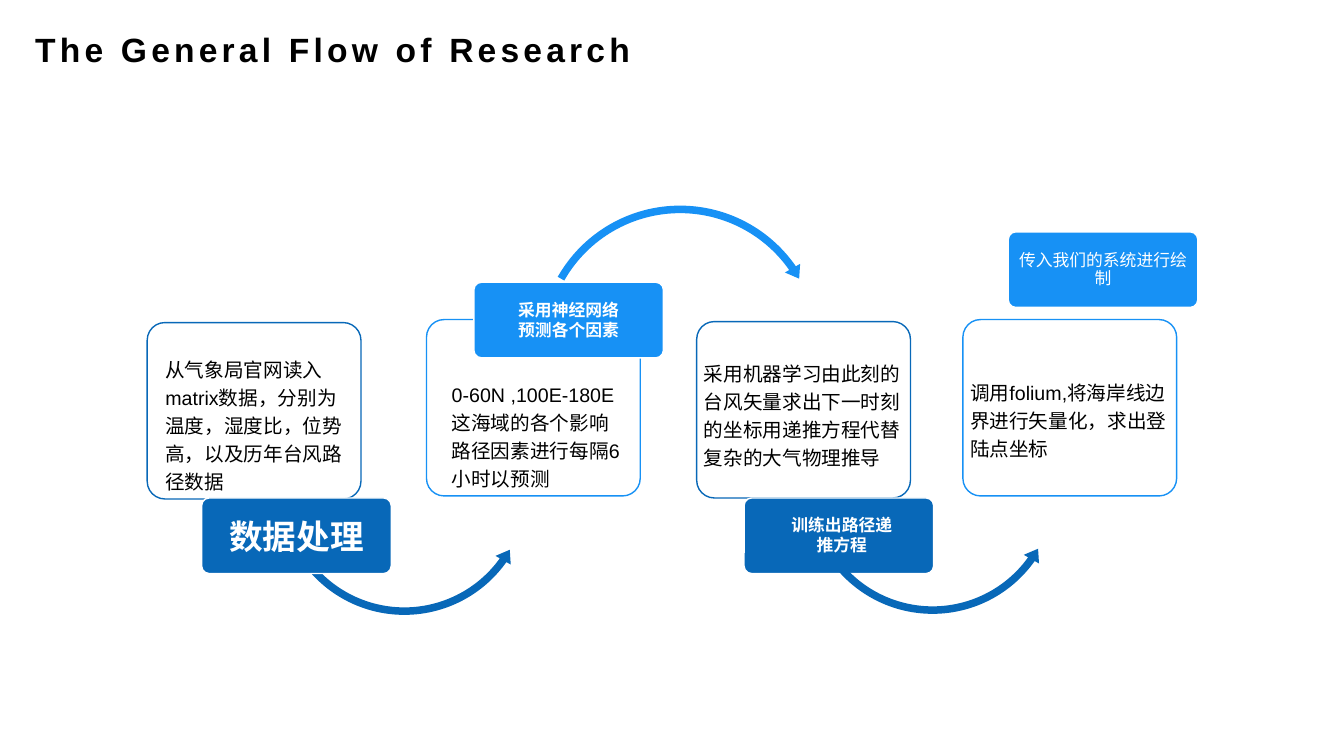
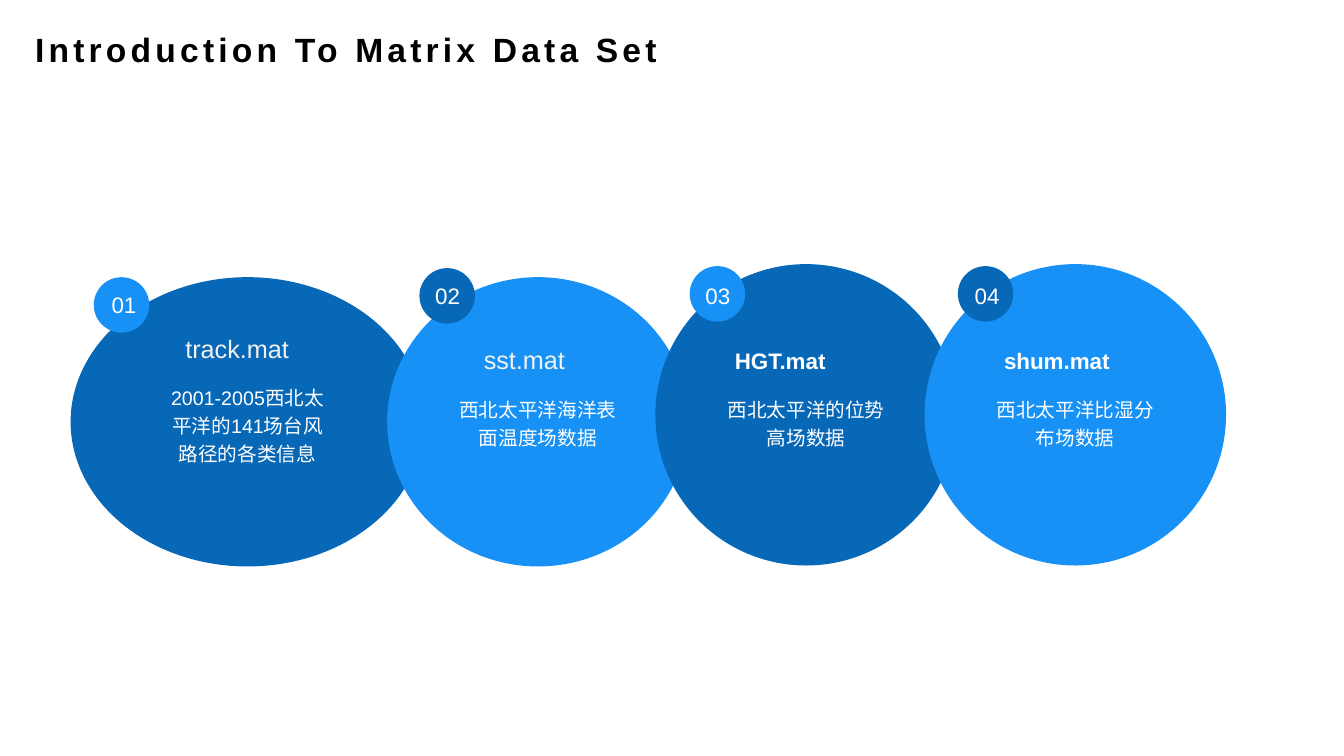
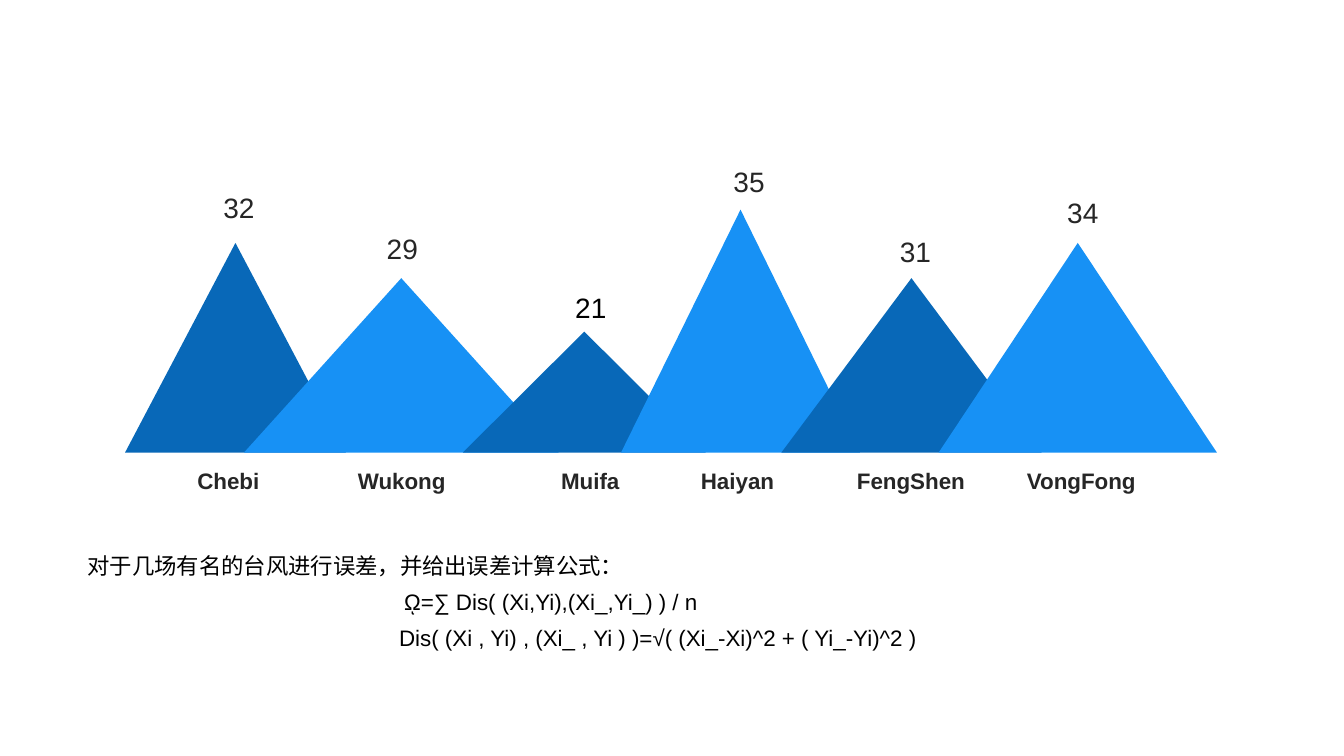
from dataclasses import dataclass

from lxml.etree import SubElement
from pptx import Presentation
from pptx.dml.color import RGBColor
from pptx.enum.shapes import MSO_SHAPE
from pptx.enum.text import MSO_ANCHOR, MSO_AUTO_SIZE, PP_ALIGN
from pptx.oxml.ns import qn
from pptx.util import Inches, Pt


@dataclass(frozen=True)
class Theme:
    font: str = "Arial"
    dark: str = "0868B8"
    light: str = "1791F5"
    white: str = "FFFFFF"
    pale: str = "F2F2F2"
    black: str = "000000"
    grey: str = "262626"
    title: int = 24
    value: int = 20
    heading: int = 18
    label: int = 16
    body: int = 14
    tag: int = 12


THEME = Theme()
CENTER, MIDDLE = PP_ALIGN.CENTER, MSO_ANCHOR.MIDDLE
NO_INSETS = (0, 0, 0, 0)
TEXT_INSETS = (0.1, 0.05, 0.1, 0.05)
LABEL_INSETS = (0.13, 0.07, 0.13, 0.07)

# Slide 1: flow of four steps
FLOW_TITLE = "The General Flow of Research"
CARD_SIZE, TAG_SIZE = (2.12, 1.75), (1.88, 0.75)
ARROW_STROKE, ARROW_HEAD = 0.075, 0.087
LEFT_TURN = (MSO_SHAPE.LEFT_CIRCULAR_ARROW, 5.85, 35.45, 150.41)
RIGHT_TURN = (MSO_SHAPE.CIRCULAR_ARROW, 5.19, 325.22, 209.59)
# Arrow: left, top, size, colour, turn (head angle, end, start)
STEPS = [
    {"colour": THEME.dark, "card": (1.46, 3.2), "tag": (2, 4.94),
     "arrow": (2.72, 3.57, 2.58, THEME.dark, LEFT_TURN)},
    {"colour": THEME.light, "card": (4.23, 3.17), "tag": (4.7, 2.8),
     "arrow": (5.3, 1.99, 2.89, THEME.light, RIGHT_TURN)},
    {"colour": THEME.dark, "card": (6.91, 3.19), "tag": (7.38, 4.94),
     "card_text": "采用机器学习由此刻的台风矢量求出下一时刻的坐标用递推方程代替复杂的大气物理推导",
     "card_format": {"insets": (0.02, 0.3, 0.02, 0.1)}},
    {"colour": THEME.light, "card": (9.55, 3.17), "tag": (10, 2.3),
     "arrow": (7.96, 3.56, 2.58, THEME.dark, LEFT_TURN),
     "card_text": "调用folium,将海岸线边界进行矢量化，求出登陆点坐标",
     "card_format": {"insets": (0.02, 0.1, 0.02, 0.3),
                     "anchor": MSO_ANCHOR.BOTTOM},
     "tag_text": "传入我们的系统进行绘制"},
]
TAG_CAPTIONS = [
    ("数据处理", (2, 5.07, 1.88, 0.5), THEME.title),
    ("采用神经网络预测各个因素", (4.99, 2.92, 1.3, 0.5), THEME.tag),
    ("训练出路径递推方程", (7.68, 5.06, 1.34, 0.5), THEME.tag),
]
CARD_NOTES = [
    ("从气象局官网读入matrix数据，分别为温度，湿度比，位势高，以及历年台风路径数据",
     (1.64, 3.5, 1.76, 1.41)),
    ("0-60N ,100E-180E这海域的各个影响路径因素进行每隔6小时以预测",
     (4.48, 3.75, 1.72, 1.13)),
]

# Slide 2: four data files
DATA_TITLE = "Introduction To Matrix Data Set"
BADGE_SIZE = (0.55, 0.55)
PLAIN_NAME = {"size": THEME.heading, "colour": THEME.pale}
BOLD_NAME = {"size": THEME.label, "colour": THEME.white, "bold": True}
# Disc, badge corner, number corner, name, name box, name format, note, note box
DATA_FILES = [
    ((0.7, 2.75, 3.51, 2.87), (0.93, 2.75), (0.95, 2.84),
     "track.mat", (1.74, 3.26, 1.36, 0.4), PLAIN_NAME,
     "2001-2005西北太平洋的141场台风路径的各类信息", (1.65, 3.78, 1.61, 1.18)),
    ((3.84, 2.75, 2.99, 2.87), (4.16, 2.66), (4.16, 2.75),
     "sst.mat", (4.7, 3.37, 1.21, 0.4), PLAIN_NAME,
     "西北太平洋海洋表面温度场数据", (4.53, 3.9, 1.61, 0.56)),
    ((6.5, 2.62, 2.99, 2.99), (6.84, 2.64), (6.84, 2.75),
     "HGT.mat", (7.19, 3.39, 1.55, 0.37), BOLD_NAME,
     "西北太平洋的位势高场数据", (7.19, 3.9, 1.61, 0.56)),
    ((9.17, 2.62, 2.99, 2.99), (9.5, 2.64), (9.51, 2.75),
     "shum.mat", (9.86, 3.39, 1.55, 0.37), BOLD_NAME,
     "西北太平洋比湿分布场数据", (9.86, 3.9, 1.61, 0.56)),
]

# Slide 3: typhoon errors as peaks
BASELINE = 4.49
VALUE_SIZE, NAME_SIZE = (0.84, 0.66), (1.63, 0.49)
# Name, name left, value, value corner, value colour, peak left, width, height
TYPHOONS = [
    ("Chebi", 1.45, "32", (1.95, 1.68), THEME.grey, 1.24, 2.19, 2.08),
    ("Wukong", 3.17, "29", (3.57, 2.08), THEME.grey, 2.42, 3.12, 1.73),
    ("Muifa", 5.04, "21", (5.44, 2.67), THEME.black, 4.59, 2.41, 1.2),
    ("Haiyan", 6.5, "35", (7.01, 1.42), THEME.grey, 6.16, 2.37, 2.41),
    ("FengShen", 8.22, "31", (8.66, 2.11), THEME.grey, 7.75, 2.58, 1.73),
    ("VongFong", 9.91, "34", (10.32, 1.73), THEME.grey, 9.31, 2.76, 2.08),
]
FORMULA_BOX = (0.77, 5.37, 11.76, 1.55)
FORMULA_LINES = [
    "对于几场有名的台风进行误差，并给出误差计算公式：",
    "ῼ=∑ Dis( (Xi,Yi),(Xi_,Yi_) ) / n",
    "Dis( (Xi , Yi) , (Xi_ , Yi ) )=√( (Xi_-Xi)^2 + ( Yi_-Yi)^2 )",
]
FORMULA_INDENTS = [0, 3.14, 3.09]


def write(box, text, size=THEME.body, colour=THEME.black, bold=False,
          align=PP_ALIGN.LEFT, anchor=MSO_ANCHOR.TOP, insets=TEXT_INSETS,
          spacing=None, before=0, tracking=0, indents=()):
    """Put one string, or a list of paragraphs, into a shape."""
    frame = box.text_frame
    frame.word_wrap = True
    frame.vertical_anchor = anchor
    (frame.margin_left, frame.margin_top,
     frame.margin_right, frame.margin_bottom) = map(Inches, insets)
    lines = [text] if isinstance(text, str) else text
    for index, line in enumerate(lines):
        para = frame.paragraphs[0] if index == 0 else frame.add_paragraph()
        para.alignment = align
        if spacing:
            para.line_spacing = spacing
        if index and before:
            para.space_before = Pt(before)
        if indents:
            properties = para._p.get_or_add_pPr()
            properties.set("marL", str(Inches(indents[index])))
            properties.set("indent", "0")
        span = para.add_run()
        span.text = line
        span.font.name = THEME.font
        span.font.size = Pt(size)
        span.font.bold = bold
        span.font.color.rgb = RGBColor.from_string(colour)
        if tracking:
            span._r.get_or_add_rPr().set("spc", str(tracking * 100))


def add_text(page, text, place, grow=True, **text_format):
    box = page.shapes.add_textbox(*map(Inches, place))
    write(box, text, **text_format)
    box.text_frame.auto_size = (MSO_AUTO_SIZE.SHAPE_TO_FIT_TEXT if grow
                                else MSO_AUTO_SIZE.NONE)


def add_figure(page, kind, place, fill, line=None, opacity=None):
    figure = page.shapes.add_shape(kind, *map(Inches, place))
    figure.shadow.inherit = False
    figure.fill.solid()
    figure.fill.fore_color.rgb = RGBColor.from_string(fill)
    if opacity:
        colour = figure._element.spPr.find(qn("a:solidFill"))[0]
        SubElement(colour, qn("a:alpha")).set("val", str(opacity * 1000))
    if line:
        figure.line.color.rgb = RGBColor.from_string(line)
        figure.line.width = Pt(1)
    else:
        figure.line.fill.background()
    return figure


def add_rounded(page, place, fill, line, opacity=None):
    figure = add_figure(page, MSO_SHAPE.ROUNDED_RECTANGLE, place, fill, line, opacity)
    figure.adjustments[0] = 0.1
    return figure


def add_arc_arrow(page, left, top, size, colour, turn):
    kind, *angles = turn
    arrow = add_figure(page, kind, (left, top, size, size), colour)
    # Angles are stored in 60000ths of a degree, ratios in 100000ths
    head, end, start = (angle * 0.6 for angle in angles)
    settings = (ARROW_STROKE / size, head, end, start, ARROW_HEAD / size)
    for index, setting in enumerate(settings):
        arrow.adjustments[index] = setting


def new_page(deck, title=None):
    page = deck.slides.add_slide(deck.slide_layouts[6])
    if title:
        add_text(page, title, (0.25, 0.24, 7.39, 0.5), size=THEME.title,
                 bold=True, tracking=3)
    return page


def build_flow(deck):
    page = new_page(deck, FLOW_TITLE)
    for step in STEPS:
        if "arrow" in step:
            add_arc_arrow(page, *step["arrow"])
        card = add_rounded(page, step["card"] + CARD_SIZE, THEME.white,
                           step["colour"], opacity=90)
        tag = add_rounded(page, step["tag"] + TAG_SIZE, step["colour"], THEME.white)
        if "card_text" in step:
            write(card, step["card_text"], spacing=1.2, **step["card_format"])
        if "tag_text" in step:
            write(tag, step["tag_text"], size=THEME.tag, colour=THEME.white,
                  align=CENTER, anchor=MIDDLE, spacing=0.9,
                  insets=(0.07, 0.05, 0.07, 0.05))
    for caption, place, size in TAG_CAPTIONS:
        add_text(page, caption, place, size=size, colour=THEME.white,
                 bold=True, align=CENTER)
    for note, place in CARD_NOTES:
        add_text(page, note, place, insets=NO_INSETS, spacing=1.2)


def build_data_files(deck):
    page = new_page(deck, DATA_TITLE)
    # Discs and numbered badges, in alternating colours
    for index, (disc, badge, number, *_) in enumerate(DATA_FILES):
        colours = (THEME.dark, THEME.light)
        add_figure(page, MSO_SHAPE.OVAL, disc, colours[index % 2])
        add_figure(page, MSO_SHAPE.OVAL, badge + BADGE_SIZE, colours[1 - index % 2])
        add_text(page, f"{index + 1:02}", number + (0.56, 0.37),
                 size=THEME.label, colour=THEME.white, align=CENTER)
    # Names and notes on top of all discs
    for *_, name, name_box, name_format, note, note_box in DATA_FILES:
        add_text(page, name, name_box, **name_format)
        add_text(page, note, note_box, colour=THEME.white, align=CENTER,
                 insets=NO_INSETS, spacing=1.2)


def build_errors(deck):
    page = new_page(deck)
    for index, (*_, left, width, height) in enumerate(TYPHOONS):
        add_figure(page, MSO_SHAPE.ISOSCELES_TRIANGLE,
                   (left, BASELINE - height, width, height),
                   (THEME.dark, THEME.light)[index % 2])
    label = {"align": CENTER, "anchor": MIDDLE, "insets": LABEL_INSETS,
             "spacing": 1.3, "grow": False}
    for name, name_left, value, corner, colour, *_ in TYPHOONS:
        add_text(page, value, corner + VALUE_SIZE, size=THEME.value,
                 colour=colour, **label)
        add_text(page, name, (name_left, BASELINE - 0.01) + NAME_SIZE,
                 size=THEME.label, colour=THEME.grey, bold=True, **label)
    add_text(page, FORMULA_LINES, FORMULA_BOX, grow=False, size=THEME.label,
             spacing=1.2, before=3, indents=FORMULA_INDENTS)


def main():
    deck = Presentation()
    deck.slide_width, deck.slide_height = Inches(13.33), Inches(7.5)
    build_flow(deck)
    build_data_files(deck)
    build_errors(deck)
    deck.save("out.pptx")


if __name__ == "__main__":
    main()
